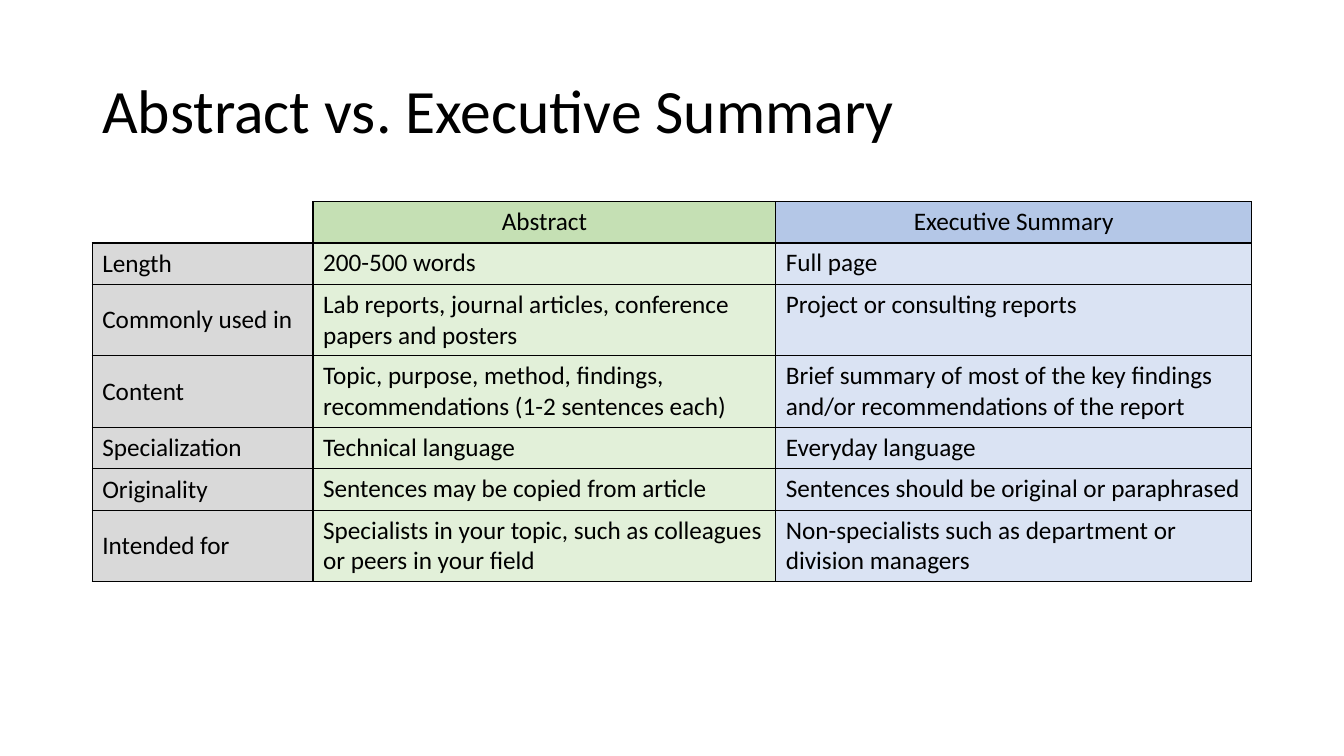
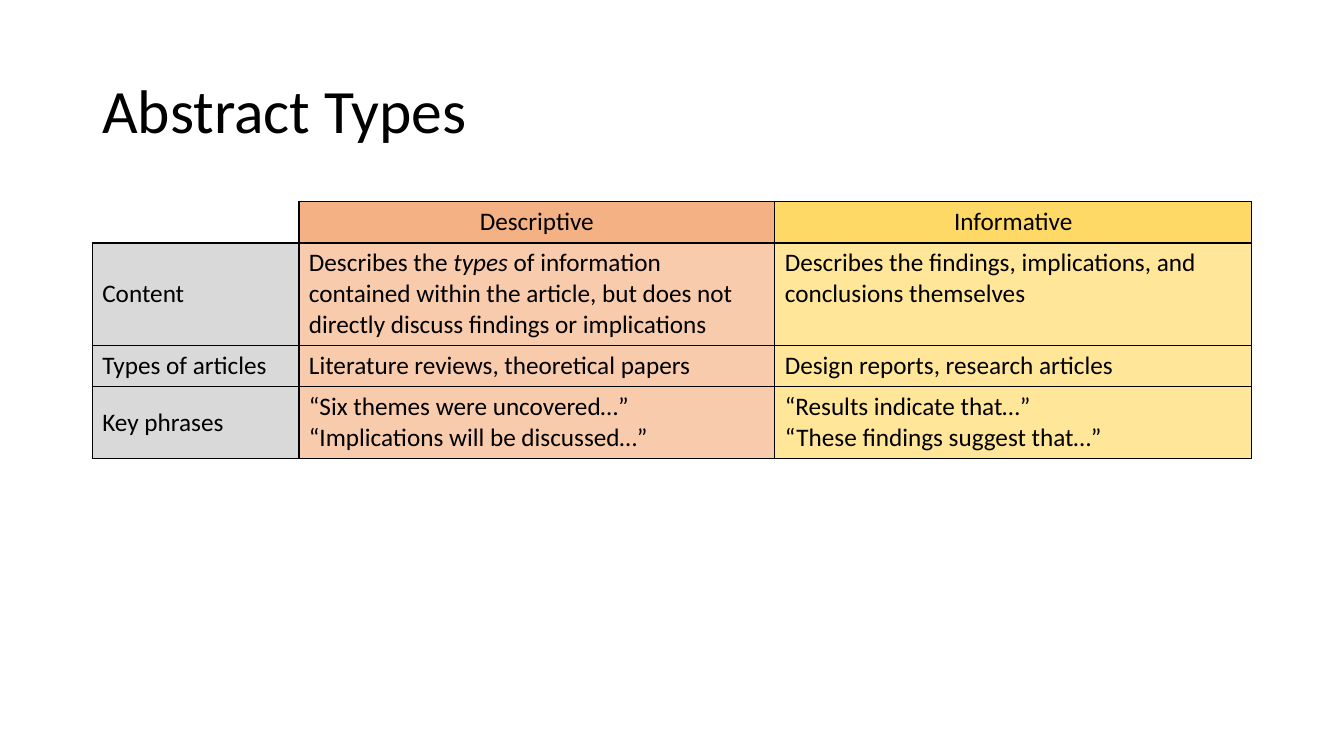
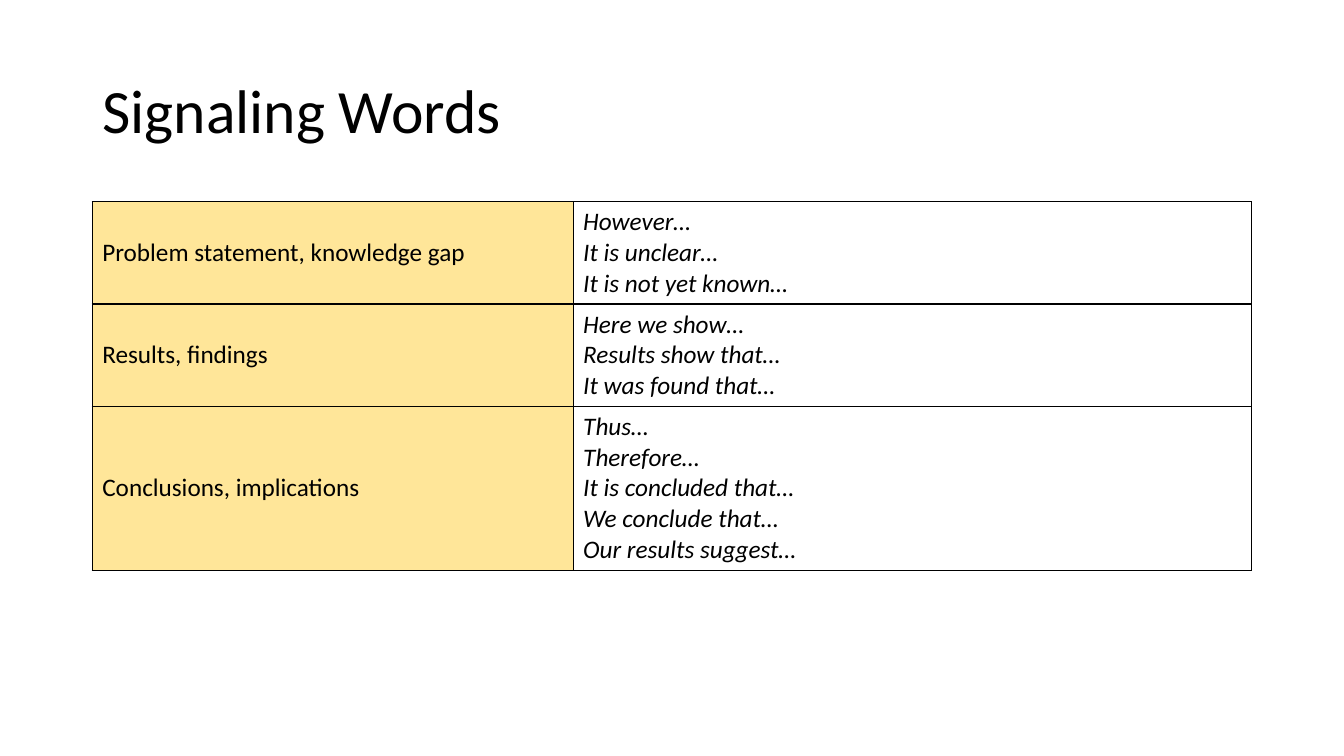
import lxml.etree
import pptx
import pptx.dml.color
import pptx.enum.text
import pptx.oxml.ns
import pptx.util

WIDTH, HEIGHT = 13.33, 7.5
BODY_WIDTH = 11.5
LEFT = (WIDTH - BODY_WIDTH) / 2
TITLE_TOP, TITLE_HEIGHT = 0.4, 1.45
TABLE_TOP, ROW_HEIGHT = 2, 0.41
FONT = "Calibri"
TITLE_SIZE, CELL_SIZE, BORDER_WIDTH = 44, 18, 1

COLORS = {
    "ink": "000000",
    "label": "D9D9D9",
    "green": "E2F0D9",
    "green head": "C5E0B4",
    "blue": "DAE3F3",
    "blue head": "B4C7E7",
    "orange": "F8CBAD",
    "orange head": "F4B183",
    "yellow": "FFE699",
    "yellow head": "FFD966",
}

SUMMARY_ROWS = [
    ("", "Abstract", "Executive Summary"),
    ("Length", "200-500 words", "Full page"),
    ("Commonly used in",
     "Lab reports, journal articles, conference papers and posters",
     "Project or consulting reports"),
    ("Content",
     "Topic, purpose, method, findings, recommendations (1-2 sentences each)",
     "Brief summary of most of the key findings and/or recommendations of the report"),
    ("Specialization", "Technical language", "Everyday language"),
    ("Originality", "Sentences may be copied from article",
     "Sentences should be original or paraphrased"),
    ("Intended for",
     "Specialists in your topic, such as colleagues or peers in your field",
     "Non-specialists such as department or division managers"),
]

TYPE_ROWS = [
    ("", "Descriptive", "Informative"),
    ("Content",
     "Describes the *types* of information contained within the article, "
     "but does not directly discuss findings or implications",
     "Describes the findings, implications, and conclusions themselves"),
    ("Types of articles", "Literature reviews, theoretical papers",
     "Design reports, research articles"),
    ("Key phrases",
     "“Six themes were uncovered…”\n“Implications will be discussed…”",
     "“Results indicate that…”\n“These findings suggest that…”"),
]

SIGNAL_ROWS = [
    ("Problem statement, knowledge gap",
     "However…\nIt is unclear…\nIt is not yet known…"),
    ("Results, findings",
     "Here we show…\nResults show that…\nIt was found that…"),
    ("Conclusions, implications",
     "Thus…\nTherefore…\nIt is concluded that…\nWe conclude that…\nOur results suggest…"),
]


def rgb(name):
    return pptx.dml.color.RGBColor.from_string(COLORS[name])


def set_font(font, size, italic=None):
    font.name = FONT
    font.size = pptx.util.Pt(size)
    font.color.rgb = rgb("ink")
    font.italic = italic


def add_page(deck, title):
    page = deck.slides.add_slide(deck.slide_layouts[5])
    box = page.shapes.title
    box.left, box.top = pptx.util.Inches(LEFT), pptx.util.Inches(TITLE_TOP)
    box.width, box.height = pptx.util.Inches(BODY_WIDTH), pptx.util.Inches(TITLE_HEIGHT)
    frame = box.text_frame
    frame.text = title
    frame.word_wrap = True
    frame.auto_size = pptx.enum.text.MSO_AUTO_SIZE.NONE
    frame.vertical_anchor = pptx.enum.text.MSO_ANCHOR.MIDDLE
    para = frame.paragraphs[0]
    para.alignment = pptx.enum.text.PP_ALIGN.LEFT
    para.line_spacing = 0.9
    set_font(para.font, TITLE_SIZE)
    return page


def set_borders(cell, sides):
    qn = pptx.oxml.ns.qn
    properties = cell._tc.get_or_add_tcPr()
    for side in "LRTB":
        line = lxml.etree.SubElement(properties, qn(f"a:ln{side}"))
        if side in sides:
            line.set("w", str(pptx.util.Pt(BORDER_WIDTH)))
            fill = lxml.etree.SubElement(line, qn("a:solidFill"))
            lxml.etree.SubElement(fill, qn("a:srgbClr")).set("val", COLORS["ink"])
        else:
            line.set("w", "0")
            lxml.etree.SubElement(line, qn("a:noFill"))


def write_cell(cell, text, align, italic):
    frame = cell.text_frame
    for index, sentence in enumerate(text.split("\n")):
        para = frame.add_paragraph() if index else frame.paragraphs[0]
        para.alignment = align
        set_font(para.font, CELL_SIZE, italic)
        for part, words in enumerate(sentence.split("*")):
            if words:
                span = para.add_run()
                span.text = words
                if part % 2:
                    span.font.italic = True


def add_grid(page, rows, widths, fills, head_fills=None, italic_column=None, middle_columns=(0,)):
    table = page.shapes.add_table(
        len(rows), len(widths), pptx.util.Inches(LEFT), pptx.util.Inches(TABLE_TOP),
        pptx.util.Inches(BODY_WIDTH), pptx.util.Inches(ROW_HEIGHT * len(rows))).table
    table.first_row = table.horz_banding = False
    for column, width in zip(table.columns, widths):
        column.width = pptx.util.Inches(BODY_WIDTH * width / sum(widths))
    for row_index, texts in enumerate(rows):
        is_head = head_fills is not None and row_index == 0
        row_fills = head_fills if is_head else fills
        align = pptx.enum.text.PP_ALIGN.CENTER if is_head else pptx.enum.text.PP_ALIGN.LEFT
        for column_index, text in enumerate(texts):
            cell = table.cell(row_index, column_index)
            set_borders(cell, "LRTB" if text else "RB")
            fill = row_fills[column_index]
            if fill:
                cell.fill.solid()
                cell.fill.fore_color.rgb = rgb(fill)
            else:
                cell.fill.background()
            if column_index in middle_columns:
                cell.vertical_anchor = pptx.enum.text.MSO_ANCHOR.MIDDLE
            write_cell(cell, text, align, True if column_index == italic_column else None)


def main():
    deck = pptx.Presentation()
    deck.slide_width = pptx.util.Inches(WIDTH)
    deck.slide_height = pptx.util.Inches(HEIGHT)

    add_grid(add_page(deck, "Abstract vs. Executive Summary"), SUMMARY_ROWS,
             (2.19, 4.59, 4.72), ("label", "green", "blue"),
             head_fills=(None, "green head", "blue head"))
    add_grid(add_page(deck, "Abstract Types"), TYPE_ROWS,
             (2.05, 4.72, 4.73), ("label", "orange", "yellow"),
             head_fills=(None, "orange head", "yellow head"))
    add_grid(add_page(deck, "Signaling Words"), SIGNAL_ROWS,
             (4.77, 6.73), ("yellow", None),
             italic_column=1, middle_columns=(0, 1))

    deck.save("out.pptx")


if __name__ == "__main__":
    main()
